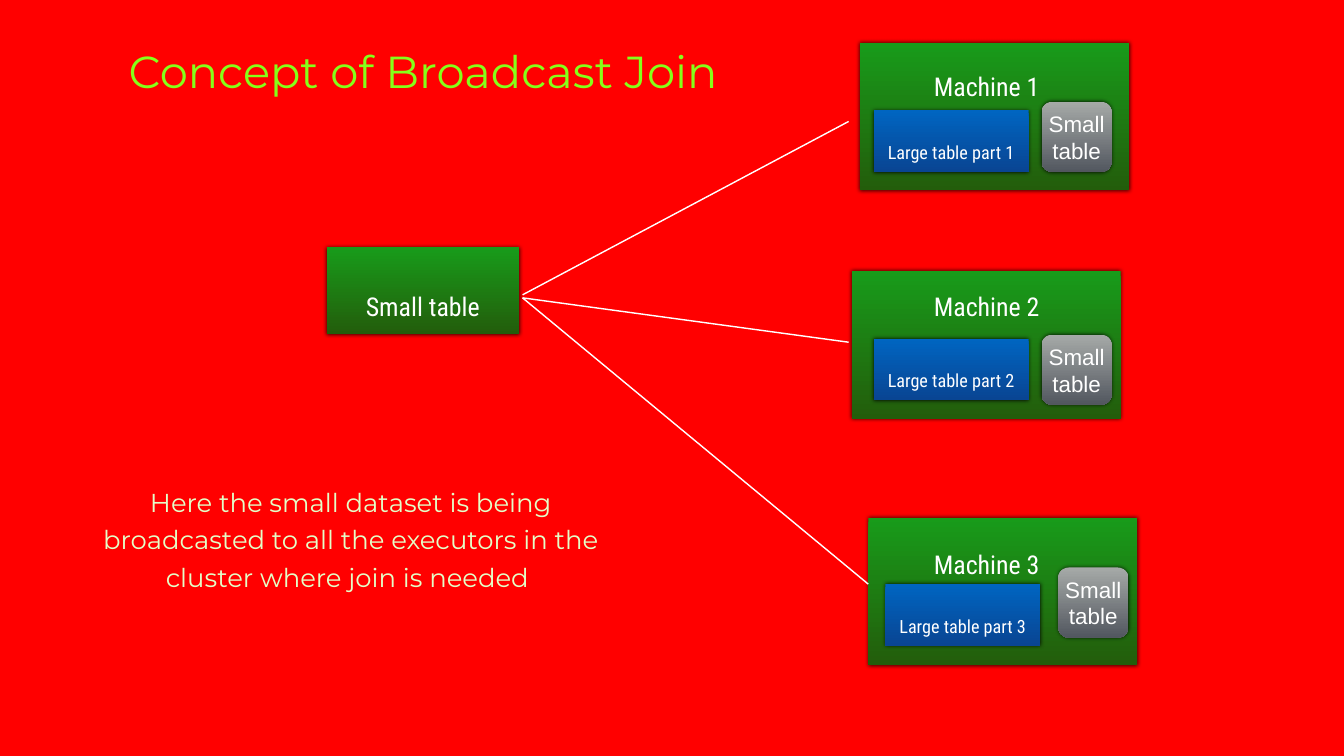
from lxml import etree
from pptx import Presentation
from pptx.dml.color import RGBColor
from pptx.enum.shapes import MSO_CONNECTOR, MSO_SHAPE
from pptx.enum.text import MSO_ANCHOR, MSO_AUTO_SIZE, PP_ALIGN
from pptx.oxml.ns import qn
from pptx.util import Inches, Pt

RECTANGLE = MSO_SHAPE.RECTANGLE
ROUNDED = MSO_SHAPE.ROUNDED_RECTANGLE
STRAIGHT = MSO_CONNECTOR.STRAIGHT
MIDDLE = MSO_ANCHOR.MIDDLE
CENTER = PP_ALIGN.CENTER
GROW = MSO_AUTO_SIZE.SHAPE_TO_FIT_TEXT
FIXED = MSO_AUTO_SIZE.NONE

COLORS = {
    "background": "FF0000",
    "title": "85FF19",
    "note": "E4FFC8",
    "white": "FFFFFF",
    "shadow": "000000",
}
GRADIENTS = {
    "green": ("189B1A", "235D0B"),
    "blue": ("0065C1", "094593"),
    "gray": ("A6AAA8", "52575F"),
}
LABEL_FONT = "Roboto Condensed"
TEXT_FONT = "Montserrat"
MACHINE_SIZE = (5.34, 2.93)
PART_SIZE = (3.07, 1.22)
SMALL_SIDE = 1.39

MACHINES = [
    {"number": 1, "at": (17.07, 0.85), "label": (2.51, 0.19), "part": (0.27, 1.34), "small": (3.6, 1.17)},
    {"number": 2, "at": (16.9, 5.38), "label": (2.68, 0.02), "part": (0.44, 1.34), "small": (3.77, 1.26)},
    {"number": 3, "at": (17.23, 10.27), "label": (2.35, 0.24), "part": (0.34, 1.32), "small": (3.77, 0.99)},
]
LINKS = [
    ((10.37, 5.85), (16.84, 2.41)),
    ((10.37, 5.91), (16.84, 6.79)),
    ((10.37, 5.91), (17.23, 11.59)),
]


def rgb(name):
    """Return the named colour."""
    return RGBColor.from_string(COLORS[name])


def write(shape, text, size, font=LABEL_FONT, color="white", spacing=1.0, wrap=True, fit=FIXED):
    """Put one centred, formatted paragraph in a shape."""
    frame = shape.text_frame
    frame.word_wrap = wrap
    frame.auto_size = fit
    frame.vertical_anchor = MIDDLE
    frame.margin_left = frame.margin_right = Inches(0.06)
    frame.margin_top = frame.margin_bottom = Inches(0.06)
    para = frame.paragraphs[0]
    para.alignment = CENTER
    para.line_spacing = spacing
    span = para.add_run()
    span.text = text
    span.font.size = Pt(size)
    span.font.name = font
    span.font.color.rgb = rgb(color)


def add_box(page, left, top, width, height, gradient, kind=RECTANGLE):
    """Add a borderless box with a vertical gradient and a soft shadow."""
    box = page.shapes.add_shape(kind, Inches(left), Inches(top), Inches(width), Inches(height))
    box.fill.gradient()
    box.fill.gradient_angle = 270
    for stop, color in zip(box.fill.gradient_stops, GRADIENTS[gradient]):
        stop.color.rgb = RGBColor.from_string(color)
    box.line.fill.background()
    box.shadow.inherit = False
    effects = box.element.spPr.find(qn("a:effectLst"))
    shadow = etree.SubElement(effects, qn("a:outerShdw"), blurRad=str(Pt(6)), dist="0", dir="18900000")
    tint = etree.SubElement(shadow, qn("a:srgbClr"), val=COLORS["shadow"])
    etree.SubElement(tint, qn("a:alpha"), val="80000")
    return box


def add_label(page, text, center, top, width, height, size):
    """Add a one-line label centred on a horizontal position."""
    label = page.shapes.add_textbox(Inches(center - width / 2), Inches(top), Inches(width), Inches(height))
    write(label, text, size, spacing=2.0, wrap=False, fit=GROW)


def add_heading(page, left, top, width, height):
    """Place the slide title."""
    title = page.shapes.title
    title.left, title.top = Inches(left), Inches(top)
    title.width, title.height = Inches(width), Inches(height)
    write(title, "Concept of Broadcast Join", 64, font=TEXT_FONT, color="title")


def add_source(page, left, top, width, height):
    """Add the small table that is broadcast."""
    add_box(page, left, top, width, height, "green")
    add_label(page, "Small table", left + width / 2, top + 0.49, 2.5, 0.74, 37)


def add_machine(page, machine):
    """Add a machine with its large table part and its small table."""
    left, top = machine["at"]
    label_x, label_y = machine["label"]
    part_x, part_y = left + machine["part"][0], top + machine["part"][1]
    small_x, small_y = machine["small"]
    add_box(page, left, top, *MACHINE_SIZE, "green")
    add_label(page, f"Machine {machine['number']}", left + label_x, top + label_y, 2.3, 0.74, 37)
    add_box(page, part_x, part_y, *PART_SIZE, "blue")
    add_label(page, f"Large table part {machine['number']}",
              part_x + PART_SIZE[0] / 2, part_y + 0.34, 2.7, 0.54, 26)
    small = add_box(page, left + small_x, top + small_y, SMALL_SIDE, SMALL_SIDE, "gray", ROUNDED)
    small.adjustments[0] = 0.15
    write(small, "Small table", 32, font="Arial")


def add_link(page, start, end):
    """Draw a white line between two points."""
    link = page.shapes.add_connector(STRAIGHT, *map(Inches, start + end))
    link.line.color.rgb = rgb("white")
    link.line.width = Pt(2)
    etree.SubElement(link.element.spPr, qn("a:effectLst"))


def add_note(page, left, top, width, height):
    """Add the explanation under the small table."""
    note = page.shapes.add_textbox(Inches(left), Inches(top), Inches(width), Inches(height))
    write(note, "Here the small dataset is being broadcasted to all the executors "
          "in the cluster where join is needed ", 37, font=TEXT_FONT, color="note", spacing=1.2, fit=GROW)


def main():
    """Build and save the slide."""
    deck = Presentation()
    deck.slide_width, deck.slide_height = Inches(26.67), Inches(15)
    page = deck.slides.add_slide(deck.slide_layouts.get_by_name("Title Only"))
    page.background.fill.solid()
    page.background.fill.fore_color.rgb = rgb("background")
    add_heading(page, 0.88, 0.73, 15.03, 1.36)
    add_source(page, 6.48, 4.91, 3.82, 1.72)
    for machine in MACHINES:
        add_machine(page, machine)
    for start, end in LINKS:
        add_link(page, start, end)
    add_note(page, 1.46, 9.36, 11, 2.57)
    deck.save("out.pptx")


if __name__ == "__main__":
    main()
